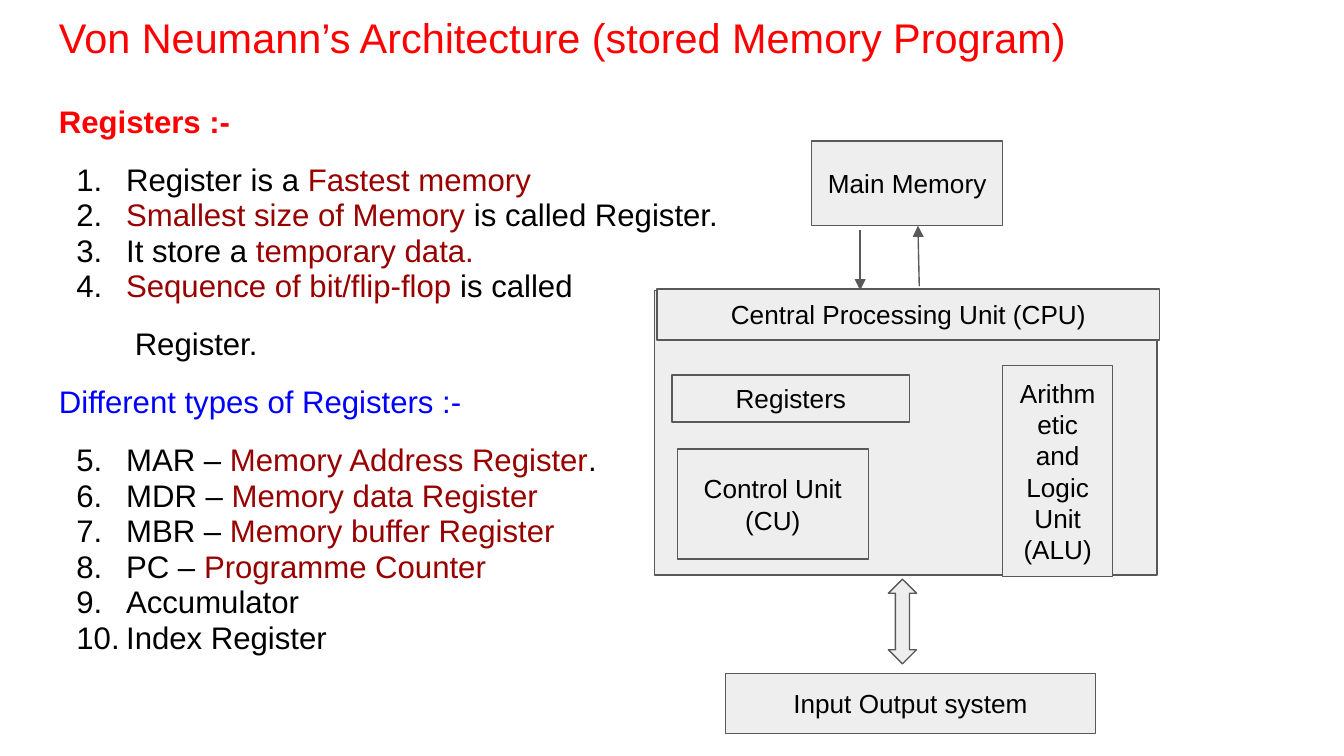
"""Build a slide on Von Neumann's architecture and its registers."""
from lxml import etree
from pptx import Presentation
from pptx import util as u
from pptx.dml import color
from pptx.enum import shapes, text
from pptx.oxml import ns

COLORS = {"red": "FF0000", "maroon": "980000", "blue": "0000FF",
          "black": "000000", "gray": "EEEEEE", "edge": "595959"}
FRAME = {"word_wrap": True, "margin_left": u.Inches(0.1), "margin_right": u.Inches(0.1),
         "margin_top": u.Inches(0.1), "margin_bottom": u.Inches(0.1)}
MIDDLE = {"vertical_anchor": text.MSO_ANCHOR.MIDDLE}


def rgb(name):
    return color.RGBColor.from_string(COLORS[name])


def write(frame, paragraphs, size, frame_format, paragraph_format):
    for key, value in {**FRAME, **frame_format}.items():
        setattr(frame, key, value)
    for i, runs in enumerate(paragraphs):
        paragraph = frame.add_paragraph() if i else frame.paragraphs[0]
        for key, value in paragraph_format.items():
            setattr(paragraph, key, value)
        for words, shade in runs:
            run = paragraph.add_run()
            run.text = words
            for key, value in {"name": "Arial", "size": u.Pt(size)}.items():
                setattr(run.font, key, value)
            run.font.color.rgb = rgb(shade)


prs = Presentation()
prs.slide_width = u.Inches(10)
prs.slide_height = prs.slide_width * 9 // 16
slide = prs.slides.add_slide(prs.slide_layouts[6])

heading = slide.shapes.add_textbox(*map(u.Inches, (0.34, -0.01, 9.32, 0.63)))
write(heading.text_frame,
      [[("Von Neumann’s Architecture (stored Memory Program)", "red")]], 22.2, {}, {})

facts = [
    [("Register is a ", "black"), ("Fastest memory", "maroon")],
    [("Smallest size of Memory", "maroon"), (" is called Register.", "black")],
    [("It store a ", "black"), ("temporary data.", "maroon")],
    [("Sequence of bit/flip-flop", "maroon"), (" is called", "black")],
]
register_types = [
    [("MAR – ", "black"), ("Memory Address Register", "maroon"), (".", "black")],
    [("MDR – ", "black"), ("Memory data Register", "maroon")],
    [("MBR – ", "black"), ("Memory buffer Register", "maroon")],
    [("PC – ", "black"), ("Programme Counter", "maroon")],
    [("Accumulator", "black")],
    [("Index Register", "black")],
]
notes = [[("Registers :-", "red")], *facts, [(" Register.", "black")],
         [("Different types of Registers :-", "blue")], *register_types]
body = slide.shapes.add_textbox(*map(u.Inches, (0.34, 0.68, 9.32, 4.95)))
write(body.text_frame, notes, 16.7, {}, {"line_spacing": 0.95})
lines = body.text_frame.paragraphs
lines[0].runs[0].font.bold = True
for i in (1, 5, 6, 7):
    lines[i].space_before = u.Pt(12)
lines[5]._p.get_or_add_pPr().set("marL", str(u.Inches(0.5)))

for first, items in ((1, lines[1:5]), (5, lines[7:])):
    for item in items:
        props = item._p.get_or_add_pPr()
        props.set("marL", str(u.Inches(0.5)))
        props.set("indent", str(u.Inches(-0.37)))
        bullet_color = etree.SubElement(props, ns.qn("a:buClr"))
        etree.SubElement(bullet_color, ns.qn("a:srgbClr"), val=COLORS["black"])
        etree.SubElement(props, ns.qn("a:buFont"), typeface="Arial")
        etree.SubElement(props, ns.qn("a:buAutoNum"), type="arabicPeriod", startAt=str(first))

RECT, ARROW = shapes.MSO_SHAPE.RECTANGLE, shapes.MSO_SHAPE.UP_DOWN_ARROW
LINE = shapes.MSO_CONNECTOR.STRAIGHT
parts = [
    (RECT, (6.04, 1.05, 1.42, 0.63), ["Main Memory"]),
    (LINE, (6.4, 1.71, 6.4, 2.16), []),
    (LINE, (6.84, 2.13, 6.83, 1.68), []),
    (RECT, (4.87, 2.16, 3.74, 2.12), []),
    (RECT, (7.46, 2.72, 0.82, 1.57), ["Arithmetic and Logic Unit (ALU)"]),
    (RECT, (5, 2.79, 1.77, 0.35), ["Registers"]),
    (RECT, (4.89, 2.15, 3.74, 0.38), ["Central Processing Unit (CPU)"]),
    (RECT, (5.04, 3.34, 1.42, 0.82), ["Control Unit", "(CU)"]),
    (ARROW, (6.61, 4.31, 0.21, 0.63), []),
    (RECT, (5.4, 5.01, 2.75, 0.45), ["Input Output system"]),
]
for kind, place, labels in parts:
    is_line = kind is LINE
    add = slide.shapes.add_connector if is_line else slide.shapes.add_shape
    part = add(kind, *map(u.Inches, place))
    part.line.color.rgb = rgb("edge")
    part.line.width = u.Pt(0.75)
    if is_line:
        etree.SubElement(part.line._get_or_add_ln(), ns.qn("a:tailEnd"), type="triangle")
        etree.SubElement(part._element.spPr, ns.qn("a:effectLst"))
    else:
        part.shadow.inherit = False
        part.fill.solid()
        part.fill.fore_color.rgb = rgb("gray")
        write(part.text_frame, [[(label, "black")] for label in labels], 14,
              MIDDLE, {"alignment": text.PP_ALIGN.CENTER})

prs.save("out.pptx")
